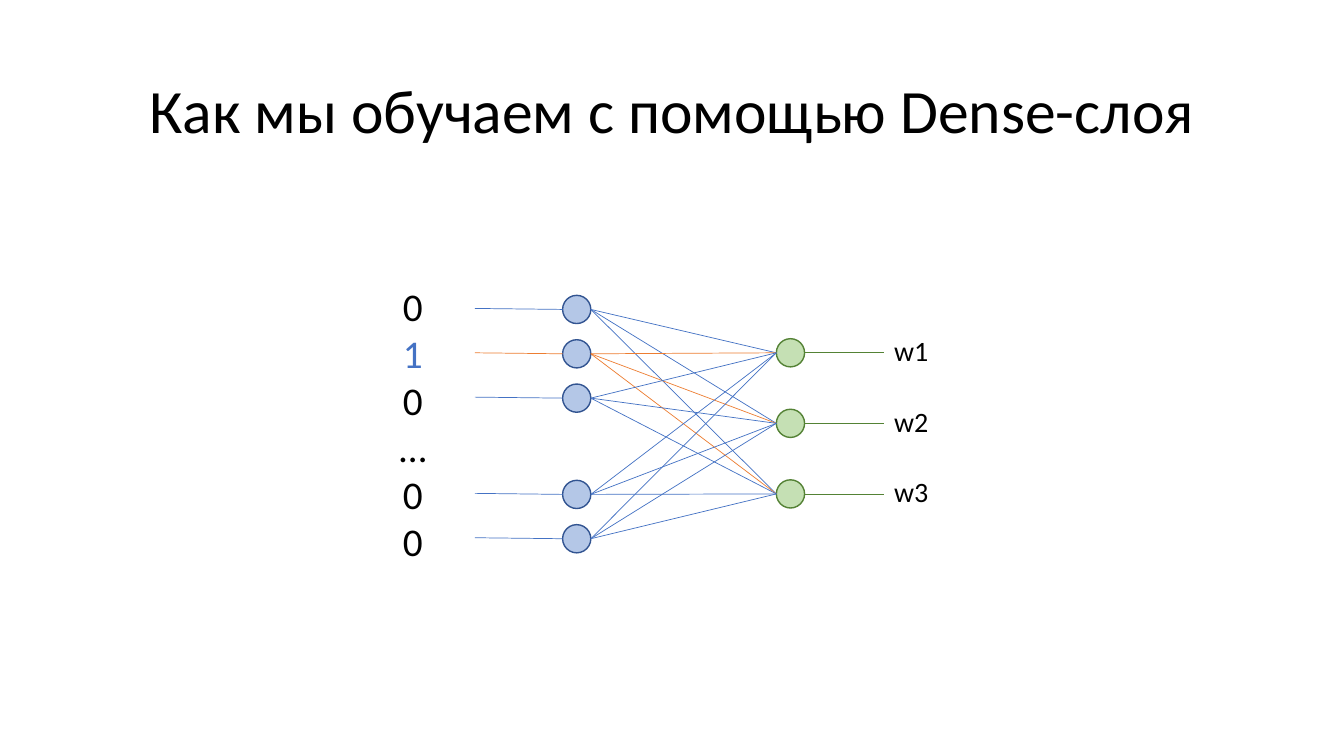
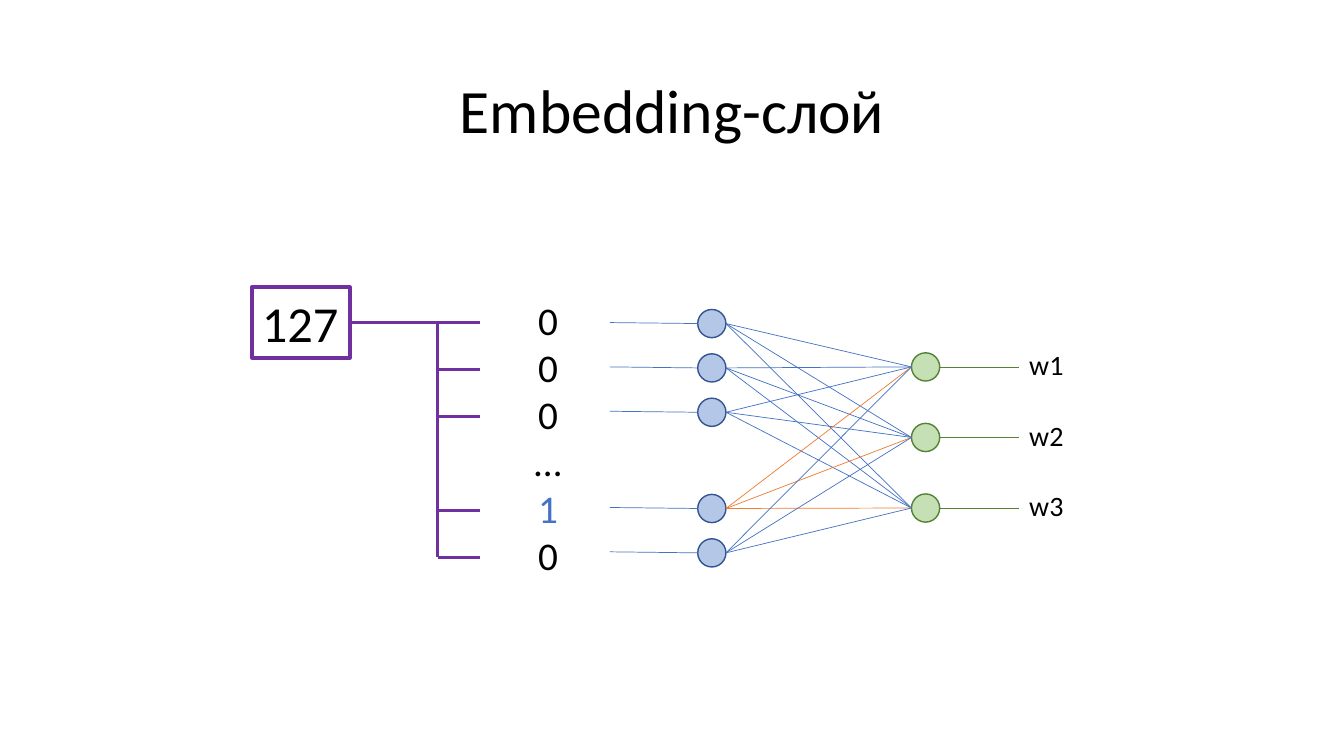
from dataclasses import dataclass
from itertools import product

from lxml.etree import SubElement
from pptx import Presentation
from pptx.dml.color import RGBColor
from pptx.enum.shapes import MSO_CONNECTOR, MSO_SHAPE
from pptx.enum.text import MSO_ANCHOR, PP_ALIGN
from pptx.oxml.ns import qn
from pptx.util import Inches, Pt


@dataclass(frozen=True)
class Theme:
    font: str = "Calibri"
    ink: str = "000000"
    signal: str = "4472C4"
    active: str = "ED7D31"
    index: str = "7030A0"
    input_fill: str = "B4C7E7"
    input_line: str = "325491"
    output_fill: str = "C5E0B4"
    output_line: str = "548235"
    title_size: int = 44
    index_size: int = 36
    code_size: int = 28
    label_size: int = 20


THEME = Theme()

# Network grid in inches, measured from the top left of the one-hot code
CODE_WIDTH, CODE_HEIGHT = 0.47, 2.93
LEAD_X, INPUT_X, OUTPUT_X, LABEL_X = 0.85, 1.86, 3.98, 4.91
RADIUS = 0.14
FIRST_INPUT, INPUT_PITCH = 0.32, 0.44
INPUT_ROWS = (0, 1, 2, 4.17, 5.17)
FIRST_OUTPUT, OUTPUT_PITCH = 0.75, 0.7
LABEL_WIDTH, LABEL_HEIGHT, LABEL_RISE = 0.54, 0.44, 0.24

# (title, left, top, code, coloured lead or None)
NETWORKS = (
    ("Как мы обучаем с помощью Dense-слоя", 3.86, 2.75, "010…00", 1),
    ("Embedding-слой", 5.2, 2.89, "000…10", None),
)


def write(shape, lines, size, align=PP_ALIGN.LEFT, wrap=False):
    """Fill a shape with one paragraph per (text, colour) pair."""
    frame = shape.text_frame
    frame.word_wrap = wrap
    for number, (text, color) in enumerate(lines):
        paragraph = frame.add_paragraph() if number else frame.paragraphs[0]
        paragraph.alignment = align
        run = paragraph.add_run()
        run.text = text
        run.font.name = THEME.font
        run.font.size = Pt(size)
        run.font.color.rgb = RGBColor.from_string(color)
    return frame


def draw_line(slide, start, end, color, width=0.5):
    line = slide.shapes.add_connector(
        MSO_CONNECTOR.STRAIGHT, *map(Inches, (*start, *end)))
    line.line.color.rgb = RGBColor.from_string(color)
    line.line.width = Pt(width)
    SubElement(line._element.spPr, qn("a:effectLst"))
    return line


prs = Presentation()
prs.slide_width, prs.slide_height = Inches(13.33), Inches(7.5)

for title, left, top, code, colored_lead in NETWORKS:
    slide = prs.slides.add_slide(prs.slide_layouts[6])
    heading = slide.shapes.add_textbox(*map(Inches, (0.92, 0.4, 11.5, 1.45)))
    heading_frame = write(heading, [(title, THEME.ink)], THEME.title_size,
                          PP_ALIGN.CENTER, wrap=True)
    heading_frame.vertical_anchor = MSO_ANCHOR.MIDDLE
    heading_frame.paragraphs[0].line_spacing = 0.9

    one_hot = slide.shapes.add_textbox(
        *map(Inches, (left, top, CODE_WIDTH, CODE_HEIGHT)))
    write(one_hot,
          [(digit, THEME.signal if digit == "1" else THEME.ink) for digit in code],
          THEME.code_size, PP_ALIGN.CENTER)

    input_x, output_x = left + INPUT_X, left + OUTPUT_X
    label_x = left + LABEL_X
    inputs = [top + FIRST_INPUT + INPUT_PITCH * row for row in INPUT_ROWS]
    outputs = [top + FIRST_OUTPUT + OUTPUT_PITCH * row for row in range(3)]
    active_input = code.replace("…", "").index("1")

    for x, centers, fill, outline in (
        (input_x, inputs, THEME.input_fill, THEME.input_line),
        (output_x, outputs, THEME.output_fill, THEME.output_line),
    ):
        for y in centers:
            neuron = slide.shapes.add_shape(
                MSO_SHAPE.OVAL,
                *map(Inches, (x - RADIUS, y - RADIUS, 2 * RADIUS, 2 * RADIUS)))
            neuron.shadow.inherit = False
            neuron.fill.solid()
            neuron.fill.fore_color.rgb = RGBColor.from_string(fill)
            neuron.line.color.rgb = RGBColor.from_string(outline)
            neuron.line.width = Pt(1)

    for number, y in enumerate(inputs):
        draw_line(slide, (left + LEAD_X, y - 0.01), (input_x - RADIUS, y),
                  THEME.active if number == colored_lead else THEME.signal)

    for (number, input_y), output_y in product(enumerate(inputs), outputs):
        draw_line(slide, (input_x + RADIUS, input_y), (output_x - RADIUS, output_y),
                  THEME.active if number == active_input else THEME.signal)

    for number, y in enumerate(outputs, start=1):
        draw_line(slide, (output_x + RADIUS, y), (label_x, y), THEME.output_line)
        weight = slide.shapes.add_textbox(
            *map(Inches, (label_x, y - LABEL_RISE, LABEL_WIDTH, LABEL_HEIGHT)))
        write(weight, [(f"w{number}", THEME.ink)], THEME.label_size)

# The word index on the embedding slide branches to every digit of the code
BUS_X, BRANCH_END = 4.34, 4.76
BUS_TOP, BUS_BOTTOM = 3.2, 5.53
branch_pitch = (BUS_BOTTOM - BUS_TOP) / 5

word_index = slide.shapes.add_shape(
    MSO_SHAPE.RECTANGLE, *map(Inches, (2.5, 2.85, 0.97, 0.7)))
word_index.shadow.inherit = False
word_index.fill.background()
word_index.line.color.rgb = RGBColor.from_string(THEME.index)
word_index.line.width = Pt(2.75)
write(word_index, [("127", THEME.ink)], THEME.index_size)

trunk = draw_line(slide, (3.47, BUS_TOP), (BRANCH_END, BUS_TOP), THEME.index, 2)
trunk.begin_connect(word_index, 3)
draw_line(slide, (BUS_X, BUS_TOP), (BUS_X, BUS_BOTTOM), THEME.index, 2)
for row in (1, 2, 4, 5):
    y = BUS_TOP + branch_pitch * row
    draw_line(slide, (BUS_X, y), (BRANCH_END, y), THEME.index, 2)

prs.save("out.pptx")
